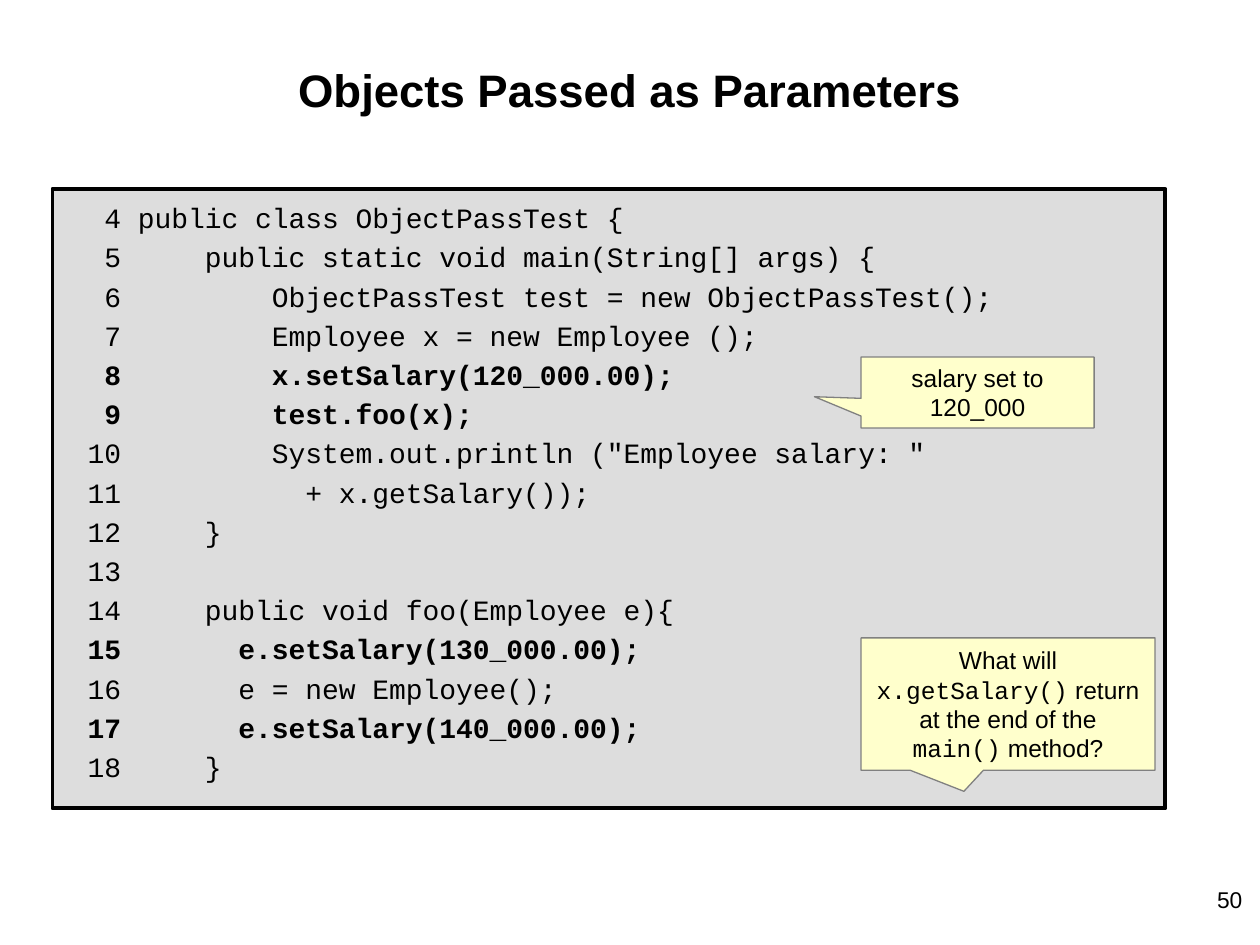
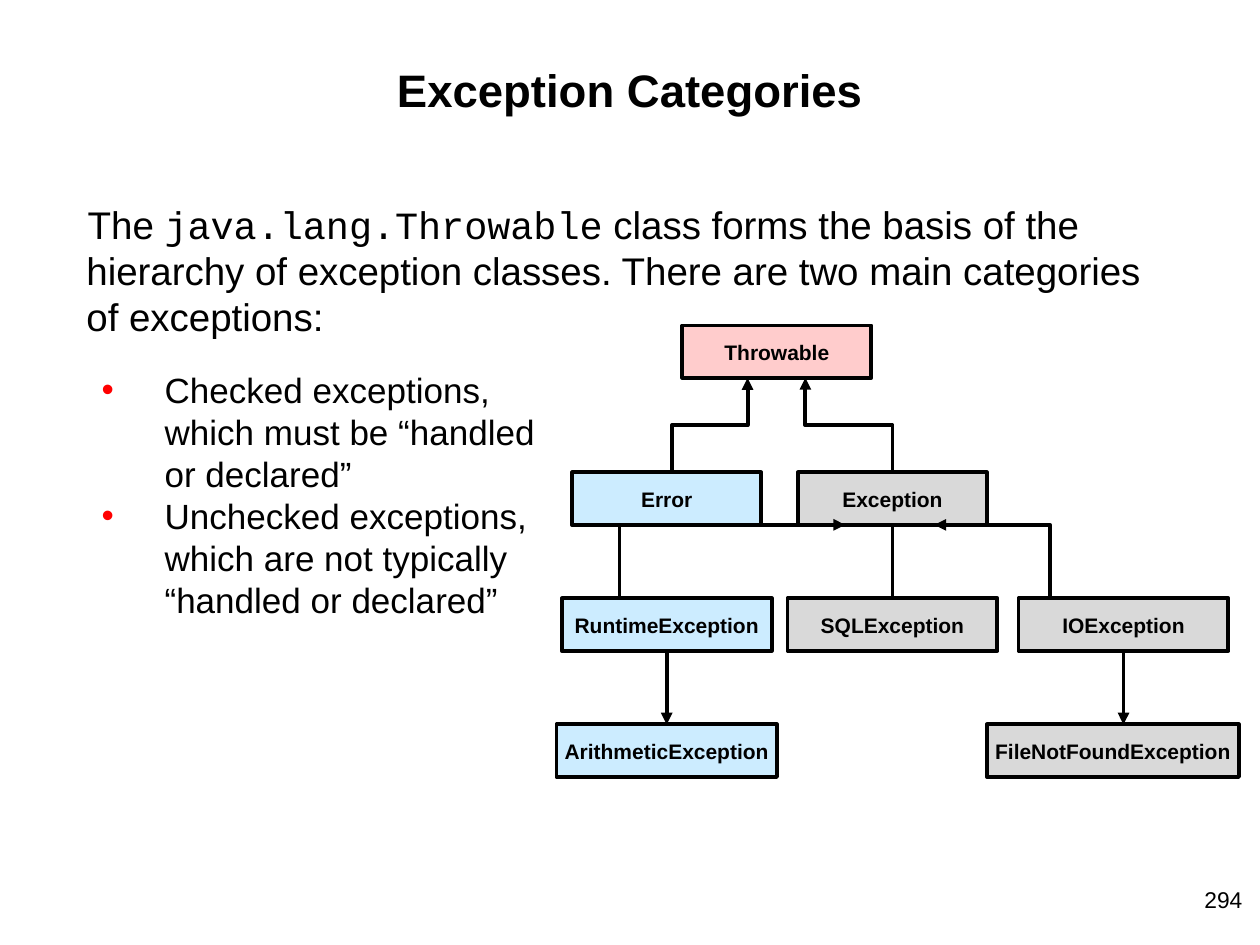
from dataclasses import dataclass

from lxml import etree
from pptx import Presentation
from pptx.dml.color import RGBColor
from pptx.enum.shapes import MSO_CONNECTOR, MSO_SHAPE
from pptx.enum.text import MSO_ANCHOR, PP_ALIGN
from pptx.oxml.ns import qn
from pptx.util import Inches, Pt

RECT, CALLOUT = MSO_SHAPE.RECTANGLE, MSO_SHAPE.RECTANGULAR_CALLOUT
STRAIGHT, ELBOW = MSO_CONNECTOR.STRAIGHT, MSO_CONNECTOR.ELBOW
LEFT, CENTER, RIGHT = PP_ALIGN.LEFT, PP_ALIGN.CENTER, PP_ALIGN.RIGHT
TOP, MIDDLE = MSO_ANCHOR.TOP, MSO_ANCHOR.MIDDLE
BOTTOM_SIDE, TOP_SIDE = 2, 0

WIDTH, HEIGHT = Inches(10), Inches(7.5)
COLS, ROWS = 120, 90


@dataclass(frozen=True)
class Theme:
    sans: str = "Arial"
    mono: str = "Courier New"
    ink: str = "000000"
    bullet: str = "FF0000"
    code_fill: str = "DDDDDD"
    note_fill: str = "FFFFCC"
    note_line: str = "808080"
    root: str = "FFCCCC"
    unchecked: str = "CCECFF"
    checked: str = "D9D9D9"
    title_size: float = 26
    body_size: float = 22
    bullet_size: float = 20
    code_size: float = 16
    note_size: float = 14
    number_size: float = 13
    node_size: float = 12
    heavy: float = 2.25
    thin: float = 0.75


T = Theme()
TITLE_BOX = (8, 5.75, 104, 11.5)
NUMBER_BOX = (112.3, 83.2, 7.2, 6.8)
BODY_INDENT = (0.01, 0.01)
BULLET_INDENT = (0.63, -0.5)

CODE = """\
 4 public class ObjectPassTest {
 5     public static void main(String[] args) {
 6         ObjectPassTest test = new ObjectPassTest();
 7         Employee x = new Employee ();
 8         x.setSalary(120_000.00);
 9         test.foo(x);
10         System.out.println ("Employee salary: "
11           + x.getSalary());
12     }
13
14     public void foo(Employee e){
15       e.setSalary(130_000.00);
16       e = new Employee();
17       e.setSalary(140_000.00);
18     }""".split("\n")
BOLD_LINES = {8, 9, 15, 17}

# name: (column, row, width, fill) within the tree
NODE_HEIGHT = 5
NODES = {
    "Throwable": (12, 0, 18, T.root),
    "Error": (1.5, 14, 18, T.unchecked),
    "Exception": (23, 14, 18, T.checked),
    "RuntimeException": (0.5, 26, 20, T.unchecked),
    "SQLException": (22, 26, 20, T.checked),
    "IOException": (44, 26, 20, T.checked),
    "ArithmeticException": (0, 38, 21, T.unchecked),
    "FileNotFoundException": (41, 38, 24, T.checked),
}


def x(cols):
    return round(WIDTH * cols / COLS)


def y(rows):
    return round(HEIGHT * rows / ROWS)


def place(box):
    left, top, width, height = box
    return x(left), y(top), x(width), y(height)


def rgb(color):
    return RGBColor.from_string(color)


def add_text(tf, text, *, size, font=T.sans, bold=False, align=LEFT, before=0,
             indent=None, bullet=False):
    """Add one paragraph; parts between backticks are set in the mono font."""
    p = tf.paragraphs[0] if not tf.paragraphs[0].runs else tf.add_paragraph()
    pPr = p._p.get_or_add_pPr()
    if indent:
        pPr.set("marL", str(Inches(indent[0])))
        pPr.set("indent", str(Inches(indent[1])))
    if bullet:
        color = etree.SubElement(pPr, qn("a:buClr"))
        etree.SubElement(color, qn("a:srgbClr"), val=T.bullet)
        etree.SubElement(pPr, qn("a:buFont"), typeface=T.sans)
        etree.SubElement(pPr, qn("a:buChar"), char="•")
    p.alignment = align
    p.space_before = Pt(before)
    for i, part in enumerate(text.split("`")):
        if part:
            r = p.add_run()
            r.text = part
            r.font.name = T.mono if i % 2 else font
            r.font.size = Pt(size)
            r.font.bold = bold
            r.font.color.rgb = rgb(T.ink)


def set_frame(tf, margin_x, margin_y, anchor=TOP):
    tf.word_wrap = True
    tf.vertical_anchor = anchor
    tf.margin_left = tf.margin_right = Inches(margin_x)
    tf.margin_top = tf.margin_bottom = Inches(margin_y)
    return tf


def text_box(s, box, margin=0.01):
    return set_frame(s.shapes.add_textbox(*place(box)).text_frame, margin, margin)


def add_box(s, box, fill, line=T.ink, weight=T.heavy, kind=RECT):
    sp = s.shapes.add_shape(kind, *place(box))
    sp.shadow.inherit = False
    sp.fill.solid()
    sp.fill.fore_color.rgb = rgb(fill)
    sp.line.color.rgb = rgb(line)
    sp.line.width = Pt(weight)
    return sp


def note(s, box, tip, text):
    """Add a callout; tip is the pointer's end as shares of the box from its centre."""
    sp = add_box(s, box, T.note_fill, T.note_line, T.thin, CALLOUT)
    sp.adjustments[0], sp.adjustments[1] = tip
    tf = set_frame(sp.text_frame, 0.1, 0.05, MIDDLE)
    add_text(tf, text, size=T.note_size, align=CENTER)


def connect(s, start, end, kind=STRAIGHT, arrow=True, upright=False, bend=None):
    """Draw a line between grid points; an upright elbow leaves its start vertically."""
    (x1, y1), (x2, y2) = start, end
    if upright:
        mid_x, mid_y = (x1 + x2) / 2, (y1 + y2) / 2
        half_w, half_h = (y1 - y2) / 2, (x2 - x1) / 2
        x1, x2 = mid_x - half_w, mid_x + half_w
        y1, y2 = mid_y - half_h, mid_y + half_h
    cxn = s.shapes.add_connector(kind, x(x1), y(y1), x(x2), y(y2))
    cxn.line.color.rgb = rgb(T.ink)
    cxn.line.width = Pt(T.heavy)
    spPr = cxn._element.spPr
    if upright:
        spPr.find(qn("a:xfrm")).set("rot", str(270 * 60000))
    if bend is not None:
        guides = spPr.find(qn("a:prstGeom")).find(qn("a:avLst"))
        etree.SubElement(guides, qn("a:gd"), name="adj1", fmla=f"val {bend * 1000}")
    if arrow:
        etree.SubElement(spPr.find(qn("a:ln")), qn("a:tailEnd"), type="triangle")
    etree.SubElement(spPr, qn("a:effectLst"))
    return cxn


def new_slide(prs, title, number):
    s = prs.slides.add_slide(prs.slide_layouts[6])
    add_text(text_box(s, TITLE_BOX), title, size=T.title_size, bold=True, align=CENTER)
    add_text(text_box(s, NUMBER_BOX, 0.1), str(number), size=T.number_size, align=RIGHT)
    return s


def code_panel(s, box):
    left, top, width, height = box
    add_box(s, box, T.code_fill)
    tf = text_box(s, (left + 3, top + 1, width - 2, height - 2))
    for i, line in enumerate(CODE):
        add_text(tf, line, size=T.code_size, font=T.mono, indent=BODY_INDENT,
                 bold=int(line[:2]) in BOLD_LINES, before=3.2 if i else 0)
    note_left = left + 77
    note(s, (note_left, top + 16, 22.2, 6.75), (-0.7, 0.06), "salary set to 120_000")
    note(s, (note_left, top + 42.75, 28, 12.6), (-0.15, 0.66),
         "What will `x.getSalary()` return at the end of the `main()` method?")


def exception_tree(s, box):
    left, top = box[:2]

    def at(col, row):
        return left + col, top + row

    nodes = {}
    for name, (col, row, width, fill) in NODES.items():
        sp = add_box(s, (*at(col, row), width, NODE_HEIGHT), fill)
        tf = set_frame(sp.text_frame, 0, 0.05, MIDDLE)
        add_text(tf, name, size=T.node_size, bold=True, align=CENTER)
        nodes[name] = sp

    connect(s, at(11, 14), at(18.2, 5), ELBOW, upright=True)
    connect(s, at(32, 14), at(23.7, 5), ELBOW, upright=True)
    connect(s, at(6, 26), at(27.5, 19), ELBOW, bend=0)
    connect(s, at(58, 26), at(36, 19), ELBOW, bend=50)

    for upper, lower, col, row, arrow, centred in (
        ("RuntimeException", "ArithmeticException", 10.5, 31, True, True),
        ("IOException", "FileNotFoundException", 54, 31, True, False),
        ("Exception", "SQLException", 32, 19, False, True),
    ):
        cxn = connect(s, at(col, row), at(col, row + 7), arrow=arrow)
        cxn.begin_connect(nodes[upper], BOTTOM_SIDE)
        if centred:
            cxn.end_connect(nodes[lower], TOP_SIDE)


def category_text(s, box):
    left, top, width, height = box
    add_text(text_box(s, (left, top, width, 23)),
             "The `java.lang.Throwable` class forms the basis of the hierarchy of exception "
             "classes. There are two main categories of exceptions:",
             size=T.body_size, indent=BODY_INDENT)
    tf = text_box(s, (left, top + 16, 45, height - 16))
    for text in ("Checked exceptions, which must be “handled or declared”",
                 "Unchecked exceptions, which are not typically “handled or declared”"):
        add_text(tf, text, size=T.bullet_size, indent=BULLET_INDENT, bullet=True)


def main():
    prs = Presentation()
    prs.slide_width, prs.slide_height = WIDTH, HEIGHT

    s = new_slide(prs, "Objects Passed as Parameters", 50)
    code_panel(s, (5, 18, 106, 59))

    s = new_slide(prs, "Exception Categories", 294)
    category_text(s, (8, 19, 104, 41.3))
    exception_tree(s, (53, 31, 65, 43))

    prs.save("out.pptx")


if __name__ == "__main__":
    main()
